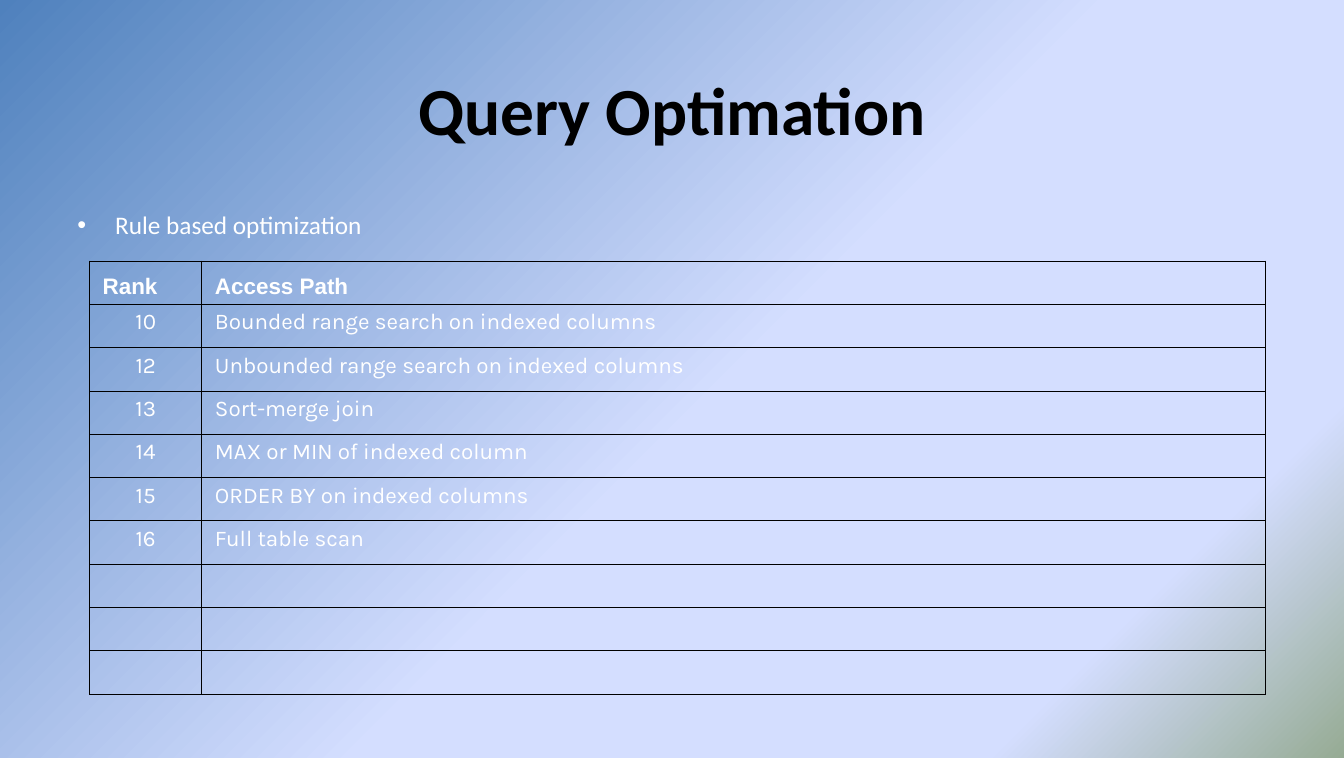
from copy import deepcopy

from pptx import Presentation
from pptx.dml.color import RGBColor
from pptx.enum.text import MSO_ANCHOR as Anchor, PP_ALIGN as Align
from pptx.oxml import parse_xml
from pptx.oxml.ns import nsdecls, qn
from pptx.util import Pt

BLACK = RGBColor(0x00, 0x00, 0x00)
WHITE = RGBColor(0xFF, 0xFF, 0xFF)
BLUE = RGBColor(0x4F, 0x81, 0xBD)
PALE_BLUE = RGBColor(0xD4, 0xDE, 0xFF)
SAGE = RGBColor(0x96, 0xAB, 0x94)

BACKGROUND_STOPS = [(0, BLUE), (0.53, PALE_BLUE), (0.83, PALE_BLUE), (1, SAGE)]
SLIDE_SIZE = (957.6, 540)
TITLE_BOX = (48, 23, 862, 109)
BULLET_BOX = (48, 149.8, 510, 42)
TABLE_BOX = (63.8, 186, 838, 308.5)

RANK_WIDTH = 80
ROW_COUNT = 10
HEADINGS = ("Rank", "Access Path")
ACCESS_PATHS = [
    ("10", "Bounded range search on indexed columns"),
    ("12", "Unbounded range search on indexed columns"),
    ("13", "Sort-merge join"),
    ("14", "MAX or MIN of indexed column"),
    ("15", "ORDER BY on indexed columns"),
    ("16", "Full table scan"),
]


def write(frame, text, size, font="Calibri", color=WHITE, bold=False,
          align=Align.LEFT, line_spacing=None, bullet=None, indent=0):
    para = frame.paragraphs[0]
    if bullet:
        props = para._p.get_or_add_pPr()
        props.set("marL", str(Pt(indent)))
        props.set("indent", str(-Pt(indent)))
        props.append(parse_xml(f'<a:buFont {nsdecls("a")} typeface="Arial"/>'))
        props.append(parse_xml(f'<a:buChar {nsdecls("a")} char="{bullet}"/>'))
    para.alignment = align
    para.line_spacing = line_spacing
    span = para.add_run()
    span.text = text
    span.font.name = font
    span.font.size = Pt(size)
    span.font.bold = bold
    span.font.color.rgb = color


def paint_background(page):
    fill = page.background.fill
    fill.gradient()
    fill.gradient_angle = 315
    stop_list = page._element.find(".//" + qn("a:gsLst"))
    while len(stop_list) < len(BACKGROUND_STOPS):
        stop_list.append(deepcopy(stop_list[0]))
    for stop, (position, color) in zip(fill.gradient_stops, BACKGROUND_STOPS):
        stop.position = position
        stop.color.rgb = color


def place_title(page, box):
    title = page.shapes.title
    title.left, title.top, title.width, title.height = map(Pt, box)
    title.text_frame.vertical_anchor = Anchor.MIDDLE
    write(title.text_frame, "Query Optimation", 48, color=BLACK, bold=True,
          align=Align.CENTER)


def place_bullet(page, box):
    frame = page.shapes.add_textbox(*map(Pt, box)).text_frame
    frame.word_wrap = True
    write(frame, "Rule based optimization", 18, line_spacing=0.8,
          bullet="•", indent=27)


def outline(cell):
    props = cell._tc.get_or_add_tcPr()
    for index, side in enumerate(("lnL", "lnR", "lnT", "lnB")):
        props.insert(index, parse_xml(
            f'<a:{side} {nsdecls("a")} w="{Pt(0.75)}"><a:solidFill>'
            f'<a:srgbClr val="{BLACK}"/></a:solidFill></a:{side}>'))


def place_table(page, box):
    left, top, width, height = box
    table = page.shapes.add_table(ROW_COUNT, 2, *map(Pt, box)).table
    table.first_row = table.horz_banding = False
    table.columns[0].width = Pt(RANK_WIDTH)
    table.columns[1].width = Pt(width - RANK_WIDTH)
    for row in table.rows:
        row.height = Pt(height / ROW_COUNT)
    for cell in table.iter_cells():
        cell.fill.background()
        cell.margin_left = cell.margin_right = Pt(9.4)
        outline(cell)
    for column, heading in enumerate(HEADINGS):
        cell = table.cell(0, column)
        cell.vertical_anchor = Anchor.BOTTOM
        write(cell.text_frame, heading, 16, font="Arial", bold=True)
    for row, (rank, access_path) in enumerate(ACCESS_PATHS, start=1):
        write(table.cell(row, 0).text_frame, rank, 16, font="Karla",
              align=Align.CENTER)
        write(table.cell(row, 1).text_frame, access_path, 16, font="Karla")


def main():
    deck = Presentation()
    deck.slide_width, deck.slide_height = map(Pt, SLIDE_SIZE)
    page = deck.slides.add_slide(deck.slide_layouts[5])
    paint_background(page)
    place_title(page, TITLE_BOX)
    place_bullet(page, BULLET_BOX)
    place_table(page, TABLE_BOX)
    deck.save("out.pptx")


if __name__ == "__main__":
    main()
